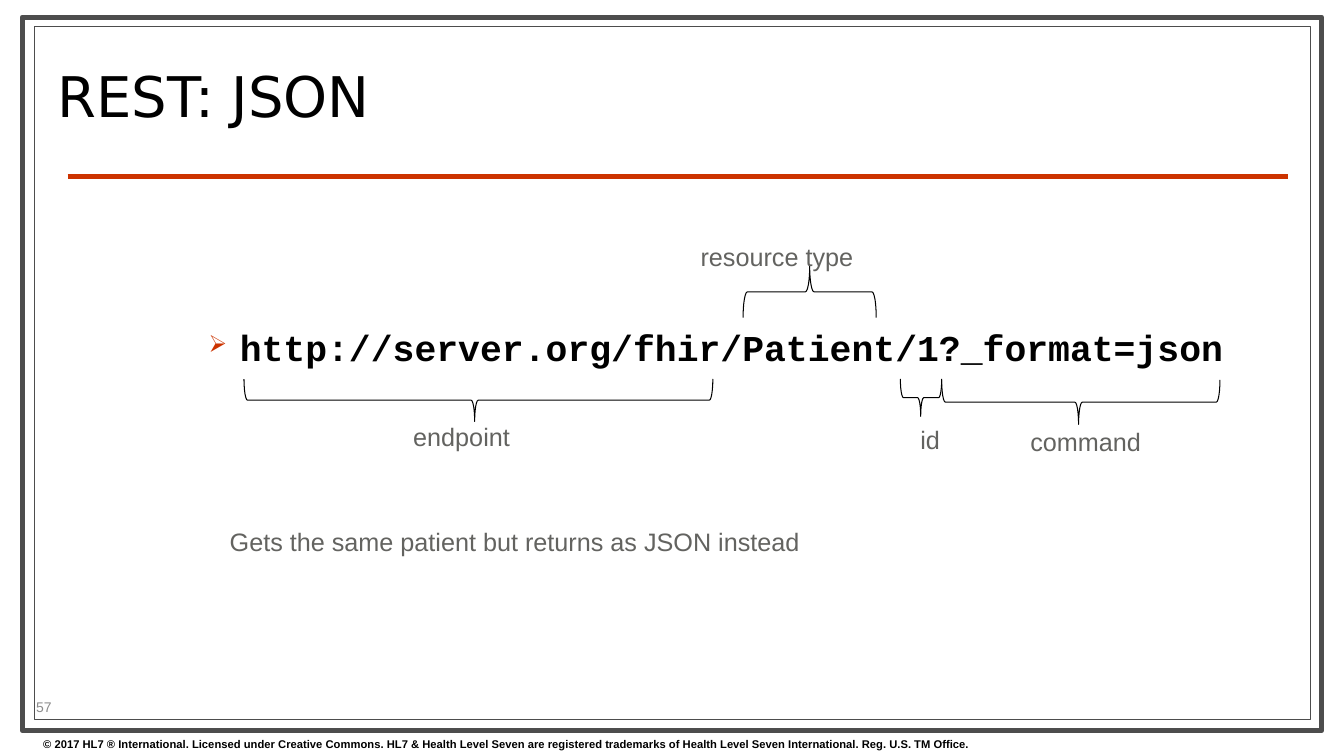
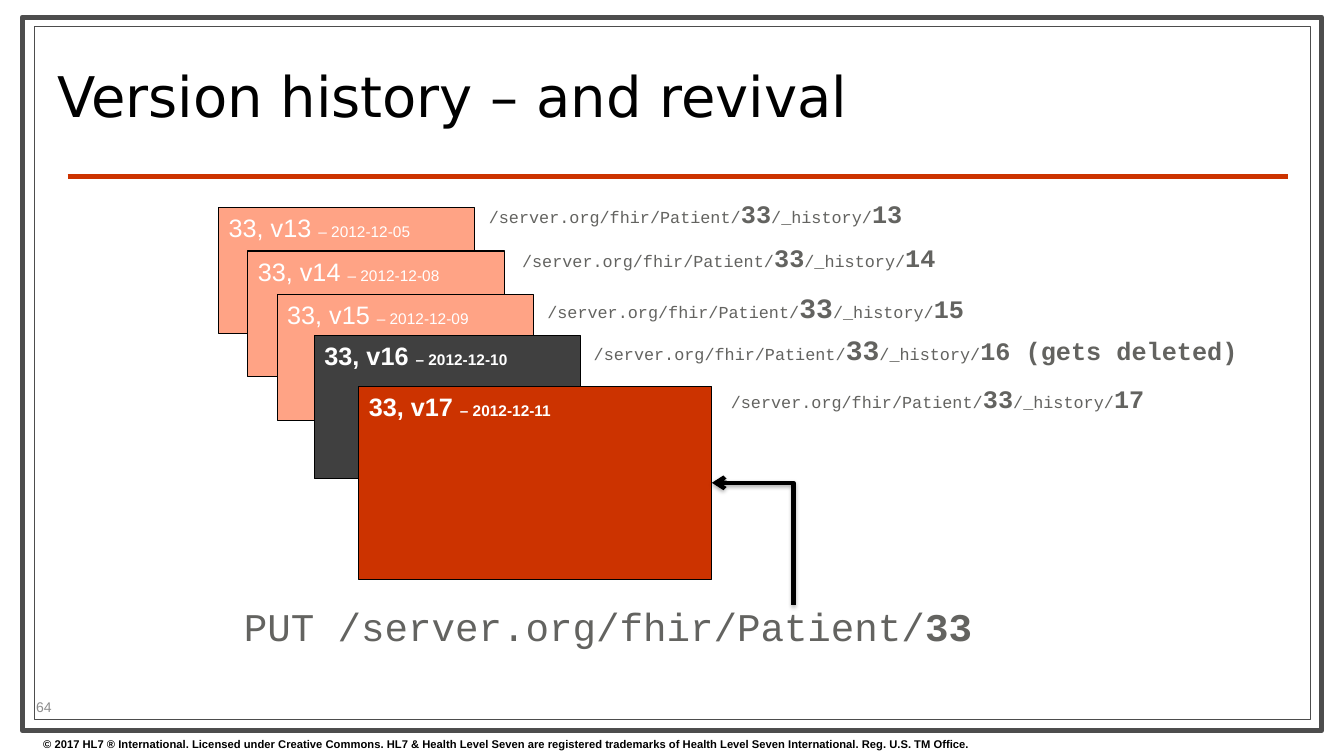
from lxml import etree
from pptx import Presentation
from pptx.dml.color import RGBColor
from pptx.enum import shapes, text
from pptx.oxml.ns import qn
from pptx.util import Inches, Pt


class Theme:
    black, white = "000000", "FFFFFF"
    frame, accent, faded, deleted = "4D4D4D", "CC3300", "FFA385", "404040"
    body, muted = "636360", "8C8C8C"
    sans, mono, heading = "Arial", "Courier New", "DejaVu Sans"
    title = dict(name=heading, size=40, color=black)
    footer = dict(name=sans, size=8, color=black, bold=True)
    number = dict(name=sans, size=10, color=muted)
    label = dict(name=sans, size=18, color=body)
    address = dict(name=mono, size=26, color=black, bold=True)
    path_small = dict(name=mono, size=12, color=body)
    path_big = dict(name=mono, size=18, color=body, bold=True)
    request = dict(name=mono, size=28, color=body)
    card = dict(name=sans, size=18, color=white)
    date_size = 11
    hairline, rule, border = 0.75, 3, 3.5


FOOTER = ("© 2017 HL7 ® International. Licensed under Creative Commons. "
          "HL7 & Health Level Seven are registered trademarks of "
          "Health Level Seven International. Reg. U.S. TM Office.")

# Visible extent of each brace: left, top, width, height, points up, tip position
BRACES = [
    (2.42, 3.76, 4.65, 0.42, False, 0.492),
    (7.37, 2.64, 1.32, 0.51, True, 0.5),
    (8.93, 3.76, 0.41, 0.37, False, 0.492),
    (9.34, 3.77, 2.76, 0.44, False, 0.492),
]
LABELS = [
    ("endpoint", 4, 4.13, 1.17),
    ("resource type", 6.85, 2.34, 1.73),
    ("id", 9.03, 4.16, 0.4),
    ("command", 10.12, 4.18, 1.31),
    ("Gets the same patient but returns as JSON instead", 2.18, 5.17, 6.05),
]

# Version, date, card box, card fill, bold
CARDS = [(13 + step, date, (2.17 + 0.29 * step, 2.06 + 0.43 * step, 2.54, 1.25),
          Theme.faded, False)
         for step, date in enumerate(("2012-12-05", "2012-12-08", "2012-12-09"))]
CARDS += [
    (16, "2012-12-10", (3.12, 3.33, 2.64, 1.42), Theme.deleted, True),
    (17, "2012-12-11", (3.56, 3.83, 3.5, 1.92), Theme.accent, True),
]
# Ending, size of the id, left, top, width
PATHS = [
    ("13", 18, 4.75, 1.92, 5.38),
    ("14", 18, 5.08, 2.36, 5.53),
    ("15", 20, 5.33, 2.83, 5.5),
    ("16 (gets deleted)", 20, 5.79, 3.25, 6.78),
    ("17", 18, 7.15, 3.75, 4.95),
]


def rgb(color):
    return RGBColor.from_string(color)


def inches(*lengths):
    return [Inches(length) for length in lengths]


def add_spans(para, spans):
    for words, style in spans:
        span = para.add_run()
        span.text = words
        values = {**style, "size": Pt(style["size"])}
        span.font.color.rgb = rgb(values.pop("color"))
        for key, value in values.items():
            setattr(span.font, key, value)


def add_text(page, at, spans, wrap=True, anchor=text.MSO_ANCHOR.TOP):
    """Add a text box of one paragraph and return that paragraph."""
    frame = page.shapes.add_textbox(*inches(*at)).text_frame
    frame.word_wrap = wrap
    frame.vertical_anchor = anchor
    para = frame.paragraphs[0]
    add_spans(para, spans)
    return para


def add_shape(page, kind, at, fill, line, width):
    shape = page.shapes.add_shape(kind, *inches(*at))
    shape.shadow.inherit = False
    if fill:
        shape.fill.solid()
        shape.fill.fore_color.rgb = rgb(fill)
    else:
        shape.fill.background()
    shape.line.color.rgb = rgb(line)
    shape.line.width = Pt(width)
    return shape


def add_line(page, kind, ends, color):
    """Add a connector; return it with its empty effect list."""
    line = page.shapes.add_connector(kind, *inches(*ends))
    line.line.color.rgb = rgb(color)
    line.line.width = Pt(Theme.rule)
    return line, etree.SubElement(line._element.spPr, qn("a:effectLst"))


def add_page(deck, title, number):
    page = deck.slides.add_slide(deck.slide_layouts[6])
    for at, width in (((0.22, 0.17, 12.89, 7.08), Theme.border),
                      ((0.34, 0.26, 12.66, 6.88), Theme.hairline)):
        add_shape(page, shapes.MSO_SHAPE.RECTANGLE, at, Theme.white, Theme.frame, width)
    add_line(page, shapes.MSO_CONNECTOR.STRAIGHT, (0.67, 1.75, 12.77, 1.75), Theme.accent)
    middle = text.MSO_ANCHOR.MIDDLE
    add_text(page, (0.33, 7.27, 13, 0.23), [(FOOTER, Theme.footer)])
    heading = add_text(page, (0.47, 0.36, 9.55, 1.29), [(title, Theme.title)], anchor=middle)
    heading.line_spacing = 0.8
    add_text(page, (0.26, 6.89, 1.05, 0.24), [(str(number), Theme.number)], anchor=middle)
    return page


def add_brace(page, left, top, width, height, up, tip):
    """Turn an upright brace so that it covers the given extent."""
    shift = (width - height) / 2
    brace = add_shape(page, shapes.MSO_SHAPE.LEFT_BRACE,
                      (left + shift, top - shift, height, width),
                      None, Theme.black, Theme.hairline)
    brace.rotation = 90 if up else 270
    brace.adjustments[0] = 0.083
    brace.adjustments[1] = tip


def add_bullet(para, symbol, color, percent, left, hanging):
    props = para._p.get_or_add_pPr()
    props.set("marL", str(Inches(left)))
    props.set("indent", str(-Inches(hanging)))
    tint = etree.SubElement(props, qn("a:buClr"))
    etree.SubElement(tint, qn("a:srgbClr"), val=color)
    etree.SubElement(props, qn("a:buSzPct"), val=str(percent * 1000))
    etree.SubElement(props, qn("a:buChar"), char=symbol)


def add_bent_arrow(page, start, end):
    """Draw an arrow that rises from start, then runs left to end."""
    run, rise = start[0] - end[0], start[1] - end[1]
    center_x, center_y = (start[0] + end[0]) / 2, (start[1] + end[1]) / 2
    ends = (center_x - rise / 2, center_y + run / 2, center_x + rise / 2, center_y - run / 2)
    arrow, effects = add_line(page, shapes.MSO_CONNECTOR.ELBOW, ends, Theme.black)
    props = arrow._element.spPr
    props.find(qn("a:xfrm")).set("rot", str(270 * 60000))
    props.find(qn("a:prstGeom")).set("prst", "bentConnector2")
    etree.SubElement(props.find(qn("a:ln")), qn("a:tailEnd"), type="arrow")
    shadow = etree.SubElement(effects, qn("a:outerShdw"), blurRad=str(Pt(3.1)),
                              dist=str(Pt(1.8)), dir=str(90 * 60000), rotWithShape="0")
    tint = etree.SubElement(shadow, qn("a:srgbClr"), val=Theme.black)
    etree.SubElement(tint, qn("a:alpha"), val="35000")


def add_card(page, version, date, at, fill, bold):
    card = add_shape(page, shapes.MSO_SHAPE.RECTANGLE, at, fill, Theme.black, Theme.hairline)
    card.text_frame.vertical_anchor = text.MSO_ANCHOR.TOP
    para = card.text_frame.paragraphs[0]
    para.alignment = text.PP_ALIGN.LEFT
    style = {**Theme.card, "bold": bold}
    add_spans(para, [(f"33, v{version} ", style),
                     (f"– {date}", {**style, "size": Theme.date_size})])


def build_json_page(deck):
    page = add_page(deck, "REST: JSON", 57)
    address = add_text(page, (1.47, 3.18, 11.5, 0.55),
                       [("http://server.org/fhir/Patient/1?_format=json", Theme.address)])
    add_bullet(address, "➢", Theme.accent, 65, 0.81, 0.31)
    for brace in BRACES:
        add_brace(page, *brace)
    for words, left, top, width in LABELS:
        add_text(page, (left, top, width, 0.4), [(words, Theme.label)], wrap=False)


def build_history_page(deck):
    page = add_page(deck, "Version history – and revival", 64)
    for card in CARDS:
        add_card(page, *card)
    for ending, id_size, left, top, width in PATHS:
        add_text(page, (left, top, width, 0.4 if id_size == 18 else 0.44), [
            ("/server.org/fhir/Patient/", Theme.path_small),
            ("33", {**Theme.path_big, "size": id_size}),
            ("/_history/", Theme.path_small),
            (ending, Theme.path_big)])
    add_text(page, (2.32, 5.93, 7.57, 0.57), [
        ("PUT /server.org/fhir/Patient/", Theme.request),
        ("33", {**Theme.request, "bold": True})])
    add_bent_arrow(page, (7.87, 6), (7.06, 4.79))


def main():
    deck = Presentation()
    deck.slide_width, deck.slide_height = inches(13.33, 7.5)
    build_json_page(deck)
    build_history_page(deck)
    deck.save("out.pptx")


if __name__ == "__main__":
    main()
